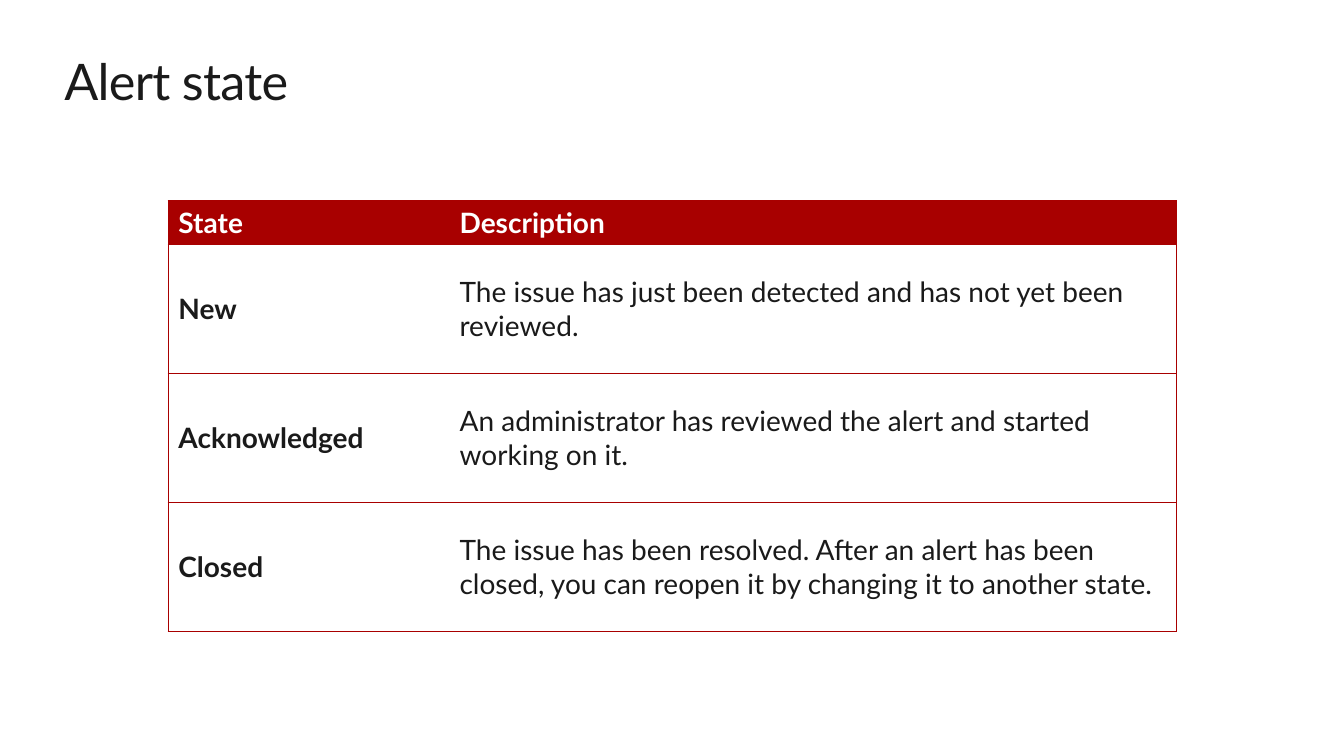
from lxml import etree
from pptx import Presentation
from pptx.dml.color import RGBColor
from pptx.enum.text import MSO_ANCHOR
from pptx.oxml.ns import qn
from pptx.util import Pt

MIDDLE = MSO_ANCHOR.MIDDLE
RED = RGBColor(0xA8, 0x00, 0x00)
INK = RGBColor(0x1A, 0x1A, 0x1A)
WHITE = RGBColor(0xFF, 0xFF, 0xFF)
FACE = "Lato"

WIDTHS = (200.88, 519.12)
HEIGHTS = (31.2, 92.16, 92.16, 92.16)
ROWS = (
    ("State", "Description"),
    ("New", "The issue has just been detected and has not yet been reviewed."),
    ("Acknowledged", "An administrator has reviewed the alert and started working on it."),
    ("Closed", "The issue has been resolved. After an alert has been closed, "
               "you can reopen it by changing it to another state."),
)


def style(para, size, color, bold=False):
    font = para.font
    font.name = FACE
    font.size = Pt(size)
    font.bold = bold
    font.color.rgb = color


def add_title(slide, text):
    box = slide.shapes.add_textbox(Pt(46), Pt(36), Pt(868), Pt(44))
    frame = box.text_frame
    frame.word_wrap = True
    frame.margin_left = frame.margin_right = 0
    frame.margin_top = frame.margin_bottom = 0
    para = frame.paragraphs[0]
    run = para.add_run()
    run.text = text
    style(para, 36, INK)
    run._r.get_or_add_rPr().set("spc", "-50")


def set_edges(cell, sides):
    """Draw the named sides in red and clear the others."""
    props = cell._tc.get_or_add_tcPr()
    for spot, side in enumerate("LRTB"):
        line = etree.Element(qn("a:ln" + side), w=str(Pt(1)))
        if side in sides:
            fill = etree.SubElement(line, qn("a:solidFill"))
            etree.SubElement(fill, qn("a:srgbClr"), val=str(RED))
        else:
            etree.SubElement(line, qn("a:noFill"))
        props.insert(spot, line)


def fill_cell(cell, text, head, label):
    cell.text = text
    cell.vertical_anchor = MIDDLE
    cell.fill.solid()
    cell.fill.fore_color.rgb = RED if head else WHITE
    style(cell.text_frame.paragraphs[0], 20, WHITE if head else INK, head or label)
    set_edges(cell, "LTB" if label else "RTB")


def add_states(slide):
    frame = slide.shapes.add_table(len(ROWS), len(WIDTHS), Pt(120.24), Pt(143.28),
                                   Pt(sum(WIDTHS)), Pt(sum(HEIGHTS)))
    table = frame.table
    for col, width in zip(table.columns, WIDTHS):
        col.width = Pt(width)
    for row, height in zip(table.rows, HEIGHTS):
        row.height = Pt(height)
    for r, texts in enumerate(ROWS):
        for c, text in enumerate(texts):
            fill_cell(table.cell(r, c), text, r == 0, c == 0)


def main():
    deck = Presentation()
    deck.slide_width, deck.slide_height = Pt(960), Pt(540)
    slide = deck.slides.add_slide(deck.slide_layouts[6])
    # Heading
    add_title(slide, "Alert state")
    # Table of states
    add_states(slide)
    deck.save("out.pptx")


if __name__ == "__main__":
    main()
